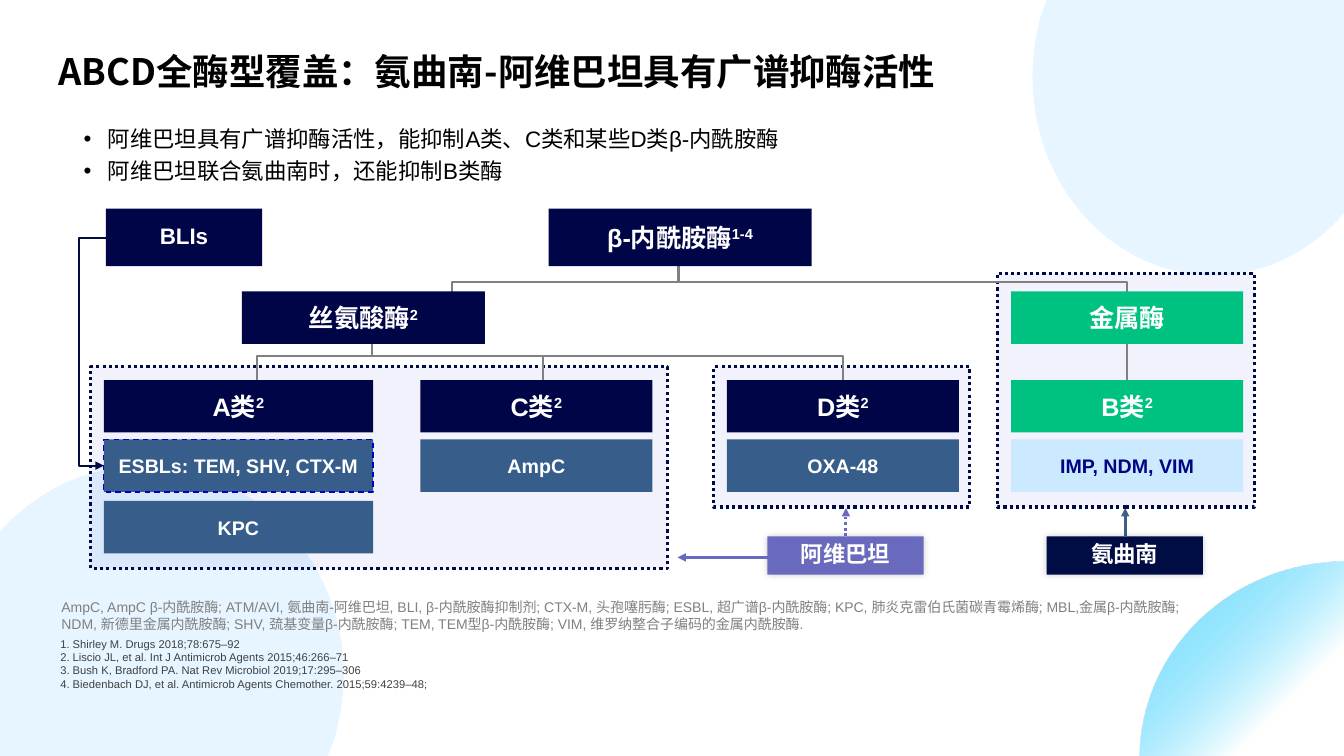
from lxml.etree import SubElement
from pptx import Presentation
from pptx.dml.color import RGBColor
from pptx.enum.dml import MSO_LINE
from pptx.enum.shapes import MSO_CONNECTOR, MSO_SHAPE
from pptx.enum.text import MSO_ANCHOR, PP_ALIGN
from pptx.oxml import parse_xml
from pptx.oxml.ns import nsdecls, qn
from pptx.util import Inches, Pt

BLACK, WHITE = RGBColor(0, 0, 0), RGBColor(255, 255, 255)
NAVY, DARK_NAVY = RGBColor(0x00, 0x05, 0x48), RGBColor(0x00, 0x0C, 0x44)
EDGE, BLUE = RGBColor(0x00, 0x0D, 0x45), RGBColor(0x00, 0x00, 0xC9)
STEEL, ARROW_STEEL = RGBColor(0x37, 0x5E, 0x8A), RGBColor(0x40, 0x5D, 0x86)
GREEN, PURPLE = RGBColor(0x00, 0xC2, 0x80), RGBColor(0x69, 0x6A, 0xBD)
PALE, INDIGO = RGBColor(0xCC, 0xEA, 0xFF), RGBColor(0x00, 0x04, 0x83)
SKY, GRAY = RGBColor(0xCF, 0xEC, 0xFF), RGBColor(0x80, 0x80, 0x80)
DARK_GRAY = RGBColor(0x40, 0x40, 0x40)
CJK_FONT, BODY_FONT = "Noto Sans CJK SC", "Arial"

TITLE = "ABCD全酶型覆盖：氨曲南-阿维巴坦具有广谱抑酶活性"
POINTS = ["阿维巴坦具有广谱抑酶活性，能抑制A类、C类和某些D类β-内酰胺酶",
          "阿维巴坦联合氨曲南时，还能抑制B类酶"]
ABBREVIATIONS = (
    "AmpC, AmpC β-内酰胺酶; ATM/AVI, 氨曲南-阿维巴坦, BLI, β-内酰胺酶抑制剂; "
    "CTX-M, 头孢噻肟酶; ESBL, 超广谱β-内酰胺酶; KPC, 肺炎克雷伯氏菌碳青霉烯酶; "
    "MBL,金属β-内酰胺酶; NDM, 新德里金属内酰胺酶; SHV, 巯基变量β-内酰胺酶; "
    "TEM, TEM型β-内酰胺酶; VIM, 维罗纳整合子编码的金属内酰胺酶.")
REFERENCES = ["Shirley M. Drugs 2018;78:675–92",
              "Liscio JL, et al. Int J Antimicrob Agents 2015;46:266–71",
              "Bush K, Bradford PA. Nat Rev Microbiol 2019;17:295–306",
              "Biedenbach DJ, et al. Antimicrob Agents Chemother. 2015;59:4239–48;"]

# Columns of enzyme classes: left, width, heading, heading fill, members, member fill, member text
CLASSES = [
    (1.03, 2.67, "A类", NAVY, ["ESBLs: TEM, SHV, CTX-M", "KPC"], STEEL, WHITE),
    (4.17, 2.3, "C类", NAVY, ["AmpC"], STEEL, WHITE),
    (7.21, 2.3, "D类", NAVY, ["OXA-48"], STEEL, WHITE),
    (10.03, 2.3, "B类", GREEN, ["IMP, NDM, VIM"], PALE, INDIGO),
]
CLASS_TOP, MEMBER_TOP, MEMBER_STEP, ROW_HEIGHT = 3.77, 4.36, 0.61, 0.52
# left, top, width, height, text, superscript, fill
FAMILIES = [
    (5.44, 2.07, 2.61, 0.57, "β-内酰胺酶", "1-4", NAVY),
    (2.4, 2.89, 2.41, ROW_HEIGHT, "丝氨酸酶", "2", NAVY),
    (10.03, 2.89, 2.3, ROW_HEIGHT, "金属酶", "", GREEN),
]
DRUGS = [(10.38, "氨曲南", DARK_NAVY), (7.61, "阿维巴坦", PURPLE)]
PANELS = [(7.08, 3.64, 2.54, 1.39), (0.9, 3.64, 5.72, 2), (9.89, 2.71, 2.55, 2.32)]
STEMS = [(5.39, 3.52, 4.01), (11.18, 3.32, 3.81), (3.69, 3.38, 3.54), (6.73, 2.52, 2.81)]
BRACKETS = [(2.55, 3.53, 5.81, 0.28), (4.48, 2.8, 6.7, 0.15)]  # as seen, open downward
# Bounds, then outline: one point starts or draws a line, three points draw a curve
DISCS = [
    ((0, 4.62, 3.41, 7.5),
     [[(1.43, 4.62)], [(2.52, 4.62), (3.41, 5.55), (3.41, 6.7)],
      [(3.41, 6.91), (3.37, 7.12), (3.32, 7.32)], [(3.25, 7.5)], [(0, 7.5)], [(0, 5.28)],
      [(0.04, 5.23)], [(0.4, 4.85), (0.89, 4.62), (1.43, 4.62)]]),
    ((10.24, 0, 13.33, 2.73),
     [[(10.38, 0)], [(13.33, 0)], [(13.33, 2.11)], [(13.3, 2.15)],
      [(12.97, 2.51), (12.53, 2.73), (12.03, 2.73)],
      [(11.04, 2.73), (10.24, 1.85), (10.24, 0.76)],
      [(10.24, 0.56), (10.27, 0.36), (10.32, 0.17)]]),
    ((11.3, 5.57, 13.36, 7.53),
     [[(13.36, 5.57)], [(13.36, 7.53)], [(11.3, 7.53)], [(11.31, 7.34)],
      [(11.41, 6.34), (12.29, 5.57), (13.36, 5.57)]]),
]

deck = Presentation()
deck.slide_width, deck.slide_height = Inches(13.33), Inches(7.5)
page = deck.slides.add_slide(deck.slide_layouts[6])


def set_alpha(shape, percent):
    color = shape._element.spPr.find(qn("a:solidFill"))[0]
    SubElement(color, qn("a:alpha")).set("val", str(percent * 1000))


def style_runs(para, size, color, bold=False, font=BODY_FONT):
    for span in para.runs:
        span.font.size, span.font.bold, span.font.name = Pt(size), bold, font
        span.font.color.rgb = color
        SubElement(span._r.get_or_add_rPr(), qn("a:ea")).set("typeface", CJK_FONT)


def add_disc(bounds, outline):
    """Draw a curved outline; the bounds give the shape its frame."""
    left, top, right, bottom = map(Inches, bounds)
    builder = page.shapes.build_freeform(left, top)
    builder.add_line_segments([(right, top), (right, bottom), (left, bottom)])
    disc = builder.convert_to_shape()
    track = next(disc._element.iter(qn("a:pathLst")))[0]
    for step in list(track):
        track.remove(step)
    for index, points in enumerate(outline):
        tag = "a:moveTo" if index == 0 else "a:cubicBezTo" if len(points) == 3 else "a:lnTo"
        step = SubElement(track, qn(tag))
        for x, y in points:
            point = SubElement(step, qn("a:pt"))
            point.set("x", str(Inches(x) - left))
            point.set("y", str(Inches(y) - top))
    SubElement(track, qn("a:close"))
    disc.shadow.inherit = False
    disc.fill.solid()
    disc.fill.fore_color.rgb = SKY
    disc.line.fill.background()
    return disc


def add_text(left, top, width, height, lines, size, color, anchor=MSO_ANCHOR.BOTTOM,
             inset=0, spacing=1.0, bullet="", indent=0, bold=False, font=BODY_FONT):
    frame = page.shapes.add_textbox(*map(Inches, (left, top, width, height))).text_frame
    frame.word_wrap, frame.vertical_anchor = True, anchor
    frame.margin_left = frame.margin_right = Inches(inset)
    frame.margin_top = frame.margin_bottom = Inches(inset / 2)
    frame.text = "\n".join(lines)
    for para in frame.paragraphs:
        para.line_spacing = spacing
        if bullet:
            properties = para._p.get_or_add_pPr()
            properties.set("marL", str(Inches(indent)))
            properties.set("indent", str(-Inches(indent)))
            for item in ('buFont typeface="Arial"', bullet):
                properties.append(parse_xml(f"<a:{item} {nsdecls('a')}/>"))
        style_runs(para, size, color, bold, font)


def add_box(left, top, width, height, fill, text="", superscript="", size=18, color=WHITE,
            kind=MSO_SHAPE.RECTANGLE, spacing=1.0):
    box = page.shapes.add_shape(kind, *map(Inches, (left, top, width, height)))
    if kind != MSO_SHAPE.RECTANGLE:
        box.adjustments[0] = 0
    box.shadow.inherit = False
    if fill is None:
        box.fill.background()
    else:
        box.fill.solid()
        box.fill.fore_color.rgb = fill
    box.line.fill.background()
    if text:
        frame = box.text_frame
        frame.word_wrap, frame.vertical_anchor = True, MSO_ANCHOR.MIDDLE
        frame.margin_left = frame.margin_right = Inches(0.05)
        para = frame.paragraphs[0]
        para.text, para.alignment, para.line_spacing = text, PP_ALIGN.CENTER, spacing
        if superscript:
            span = para.add_run()
            span.text = superscript
            span._r.get_or_add_rPr().set("baseline", "30000")
        style_runs(para, size, color, True)
    return box


def set_line(shape, color, width, dash=None):
    shape.line.color.rgb, shape.line.width = color, Pt(width)
    if dash:
        shape.line.dash_style = dash


def add_line(start, end, color, width, dash=None, arrow=False, kind=MSO_CONNECTOR.STRAIGHT):
    link = page.shapes.add_connector(kind, *map(Inches, (*start, *end)))
    set_line(link, color, width, dash)
    if arrow:
        SubElement(link.line._get_or_add_ln(), qn("a:tailEnd")).set("type", "triangle")
    SubElement(link._element.spPr, qn("a:effectLst"))
    return link


discs = [add_disc(*disc) for disc in DISCS]
for disc in discs[:2]:
    set_alpha(disc, 50)
corner = discs[2]._element.spPr
corner.replace(corner.find(qn("a:solidFill")), parse_xml(
    f'<a:gradFill {nsdecls("a")}><a:gsLst><a:gs pos="15000"><a:srgbClr val="8BE3FF"/></a:gs>'
    '<a:gs pos="71000"><a:srgbClr val="0EC6FF"><a:alpha val="0"/></a:srgbClr></a:gs></a:gsLst>'
    '<a:lin ang="2700000" scaled="0"/></a:gradFill>'))

add_text(0.48, 0.34, 10.3, 0.64, [TITLE], 26, BLACK, inset=0.1, spacing=0.9, bold=True,
         font=CJK_FONT)
add_text(0.6, 6.46, 10.87, 0.39, REFERENCES, 8, DARK_GRAY,
         bullet='buAutoNum type="arabicPeriod"', indent=0.12)
add_text(0.61, 5.93, 11.43, 0.34, [ABBREVIATIONS], 10, GRAY)
add_text(0.83, 1.19, 7.48, 0.62, POINTS, 16, BLACK, MSO_ANCHOR.TOP, spacing=1.2,
         bullet='buChar char="•"', indent=0.24)

add_line((11.16, 5.32), (11.16, 5.04), ARROW_STEEL, 2, arrow=True)
for panel in PANELS:
    box = add_box(*panel, BLUE)
    set_alpha(box, 5)
    set_line(box, EDGE, 2.25, MSO_LINE.ROUND_DOT)
for x, top, bottom in STEMS:
    add_line((x, top), (x, bottom), GRAY, 1.5)
for left, top, width, height in BRACKETS:
    shift = (width - height) / 2
    bracket = add_box(left + shift, top - shift, height, width, None, kind=MSO_SHAPE.RIGHT_BRACKET)
    bracket.rotation = 270
    set_line(bracket, GRAY, 1.5)

for family in FAMILIES:
    *frame, text, superscript, fill = family
    add_box(*frame, fill, text, superscript, kind=MSO_SHAPE.ROUNDED_RECTANGLE)
for left, width, heading, fill, members, member_fill, member_color in CLASSES:
    add_box(left, CLASS_TOP, width, ROW_HEIGHT, fill, heading, "2",
            kind=MSO_SHAPE.ROUNDED_RECTANGLE)
    for row, member in enumerate(members):
        box = add_box(left, MEMBER_TOP + row * MEMBER_STEP, width, ROW_HEIGHT, member_fill,
                      member, size=14, color=member_color, kind=MSO_SHAPE.ROUNDED_RECTANGLE)
        if member.startswith("ESBLs"):
            set_line(box, BLUE, 1, MSO_LINE.DASH)
add_box(1.05, 2.07, 1.55, 0.57, NAVY, "BLIs", size=16, spacing=0.9)
for left, drug, fill in DRUGS:
    box = add_box(left, 5.32, 1.55, 0.38, fill, drug, size=16, spacing=0.9)
    glow = SubElement(box._element.spPr.find(qn("a:effectLst")), qn("a:outerShdw"))
    glow.set("blurRad", str(Pt(5)))
    shade = SubElement(glow, qn("a:srgbClr"))
    shade.set("val", "000000")
    SubElement(shade, qn("a:alpha")).set("val", "20000")

add_line((7.65, 5.53), (6.72, 5.53), PURPLE, 2, arrow=True)
add_line((8.39, 5.32), (8.39, 5.04), PURPLE, 2, MSO_LINE.ROUND_DOT, arrow=True)
elbow = add_line((1.05, 2.36), (1.03, 4.62), EDGE, 1.5, arrow=True, kind=MSO_CONNECTOR.ELBOW)
guide = SubElement(elbow._element.spPr.find(qn("a:prstGeom")).find(qn("a:avLst")), qn("a:gd"))
guide.set("name", "adj1")
guide.set("fmla", "val 1330000")

deck.save("out.pptx")
